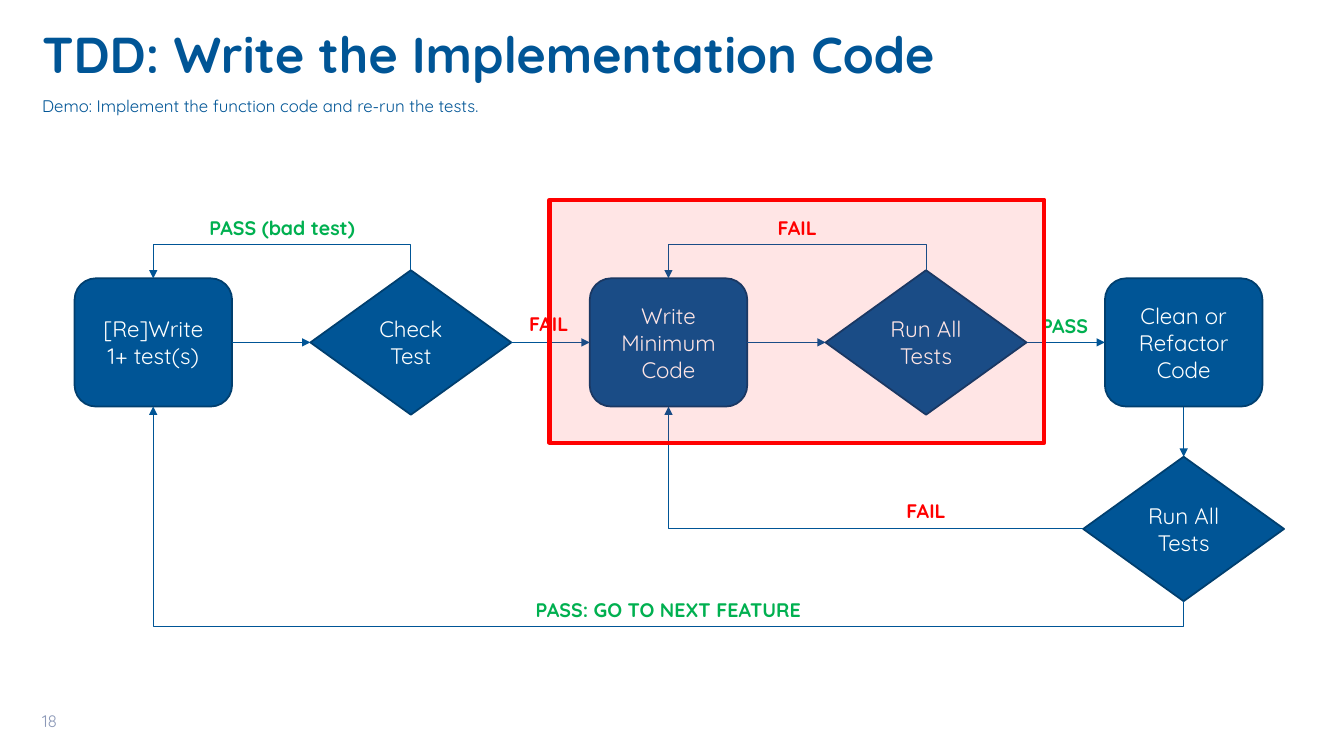
"""Build the test-driven development flow slide."""
from lxml.etree import SubElement as Sub
from pptx import Presentation
from pptx.dml.color import RGBColor
from pptx.enum.shapes import MSO_CONNECTOR as Wire, MSO_SHAPE as Form
from pptx.enum.text import MSO_ANCHOR as Anchor, PP_ALIGN as Align
from pptx.oxml.ns import qn
from pptx.util import Pt

BLUE = RGBColor(0x00, 0x55, 0x96)
NAVY = RGBColor(0x00, 0x3F, 0x6F)
PALE = RGBColor(0xFE, 0xFF, 0xFF)
GRAY = RGBColor(0x8C, 0x99, 0xB8)
GREEN = RGBColor(0x00, 0xB0, 0x50)
RED = RGBColor(0xFF, 0x00, 0x00)
FONT = "Quicksand"

HEADS = [
    ("TDD: Write the Implementation Code", 23, 13, 916, 52, 36, BLUE, True),
    ("Demo: Implement the function code and re-run the tests.",
     23, 65, 916, 32, 12, BLUE, False),
    ("18", 23, 500.5, 60, 29, 12, GRAY, False),
]
BOX = (Form.ROUNDED_RECTANGLE, 112.5, 91.6)
GEM = (Form.DIAMOND, 143.5, 103.2)
NODES = [
    ("[Re]Write 1+ test(s)", BOX, 0, 0),
    ("Check Test", GEM, 1, 0),
    ("Write Minimum Code", BOX, 2, 0),
    ("Run All Tests", GEM, 3, 0),
    ("Clean or Refactor Code", BOX, 4, 0),
    ("Run All Tests", GEM, 4, 1),
]
LABELS = [
    ("PASS (bad test)", GREEN, 201.5, 150.5, 184),
    ("FAIL", RED, 569.5, 150.5, 50),
    ("FAIL", RED, 392, 219.5, 50),
    ("PASS", GREEN, 760.5, 221, 50),
    ("FAIL", RED, 661.5, 353, 50),
    ("PASS: GO TO NEXT FEATURE", GREEN, 477.5, 423.5, 220),
]
FOCUS = (392.5, 142.7, 353.5, 173.5)
LEFT, TOP, STEP, DROP, BEND = 109.5, 244.6, 184, 133.2, 18

deck = Presentation()
deck.slide_width, deck.slide_height = Pt(960), Pt(540)
slide = deck.slides.add_slide(deck.slide_layouts[6])
shapes = slide.shapes


def write(shape, text, size, color, bold=False, align=Align.CENTER, anchor=Anchor.TOP):
    frame = shape.text_frame
    frame.word_wrap = True
    frame.vertical_anchor = anchor
    para = frame.paragraphs[0]
    para.alignment = align
    run = para.add_run()
    run.text = text
    font = run.font
    font.name, font.size, font.bold = FONT, Pt(size), bold
    font.color.rgb = color


def block(form, x, y, w, h, fill, edge, width):
    shape = shapes.add_shape(form, Pt(x), Pt(y), Pt(w), Pt(h))
    shape.shadow.inherit = False
    shape.fill.solid()
    shape.fill.fore_color.rgb = fill
    shape.line.color.rgb = edge
    shape.line.width = Pt(width)
    return shape


def arrow(start, end, kind=Wire.STRAIGHT):
    line = shapes.add_connector(kind, *(Pt(v) for v in start + end))
    line.line.color.rgb = BLUE
    line.line.width = Pt(0.75)
    props = line._element.spPr
    Sub(props.find(qn("a:ln")), qn("a:tailEnd"), type="triangle")
    Sub(props, qn("a:effectLst"))
    return line


def elbow(start, end, turn, flips=(), bend=None):
    line = arrow(start, end, Wire.ELBOW)
    (x1, y1), (x2, y2) = start, end
    wide, high = abs(x2 - x1), abs(y2 - y1)
    if turn % 180:
        wide, high = high, wide
    line.left, line.top = Pt((x1 + x2 - wide) / 2), Pt((y1 + y2 - high) / 2)
    line.width, line.height = Pt(wide), Pt(high)
    props = line._element.spPr
    frame = props.find(qn("a:xfrm"))
    for key in ("flipH", "flipV"):
        frame.set(key, str(int(key in flips)))
    frame.set("rot", str(turn * 60000))
    geom = props.find(qn("a:prstGeom"))
    if bend is None:
        geom.set("prst", "bentConnector2")
    else:
        ratio = round(-bend / wide * 100000)
        Sub(geom.find(qn("a:avLst")), qn("a:gd"), name="adj1", fmla=f"val {ratio}")


def port(node, dx, dy):
    _, (_, w, h), col, row = NODES[node]
    return LEFT + col * STEP + dx * w / 2, TOP + row * DROP + dy * h / 2


for text, x, y, w, h, size, color, bold in HEADS:
    head = shapes.add_textbox(Pt(x), Pt(y), Pt(w), Pt(h))
    anchor = Anchor.MIDDLE if color == GRAY else Anchor.TOP
    write(head, text, size, color, bold, Align.LEFT, anchor)

for node, (text, (form, w, h), _, _) in enumerate(NODES):
    x, y = port(node, -1, -1)
    shape = block(form, x, y, w, h, BLUE, NAVY, 1.25)
    write(shape, text, 16, PALE, anchor=Anchor.MIDDLE)

for node in range(4):
    arrow(port(node, 1, 0), port(node + 1, -1, 0))
arrow(port(4, 0, 1), port(5, 0, -1))
for gem in (1, 3):
    elbow(port(gem, 0, -1), port(gem - 1, 0, -1), 270, ("flipH", "flipV"), BEND)
elbow(port(5, -1, 0), port(2, 0, 1), 180)
elbow(port(5, 0, 1), port(0, 0, 1), 90, ("flipH",), BEND)

for text, color, mid, y, w in LABELS:
    label = shapes.add_textbox(Pt(mid - w / 2), Pt(y), Pt(w), Pt(24.5))
    write(label, text, 14, color, True)

focus = block(Form.RECTANGLE, *FOCUS, RED, RED, 3)
tint = focus._element.spPr.find(qn("a:solidFill"))[0]
Sub(tint, qn("a:alpha"), val="10000")

deck.save("out.pptx")
